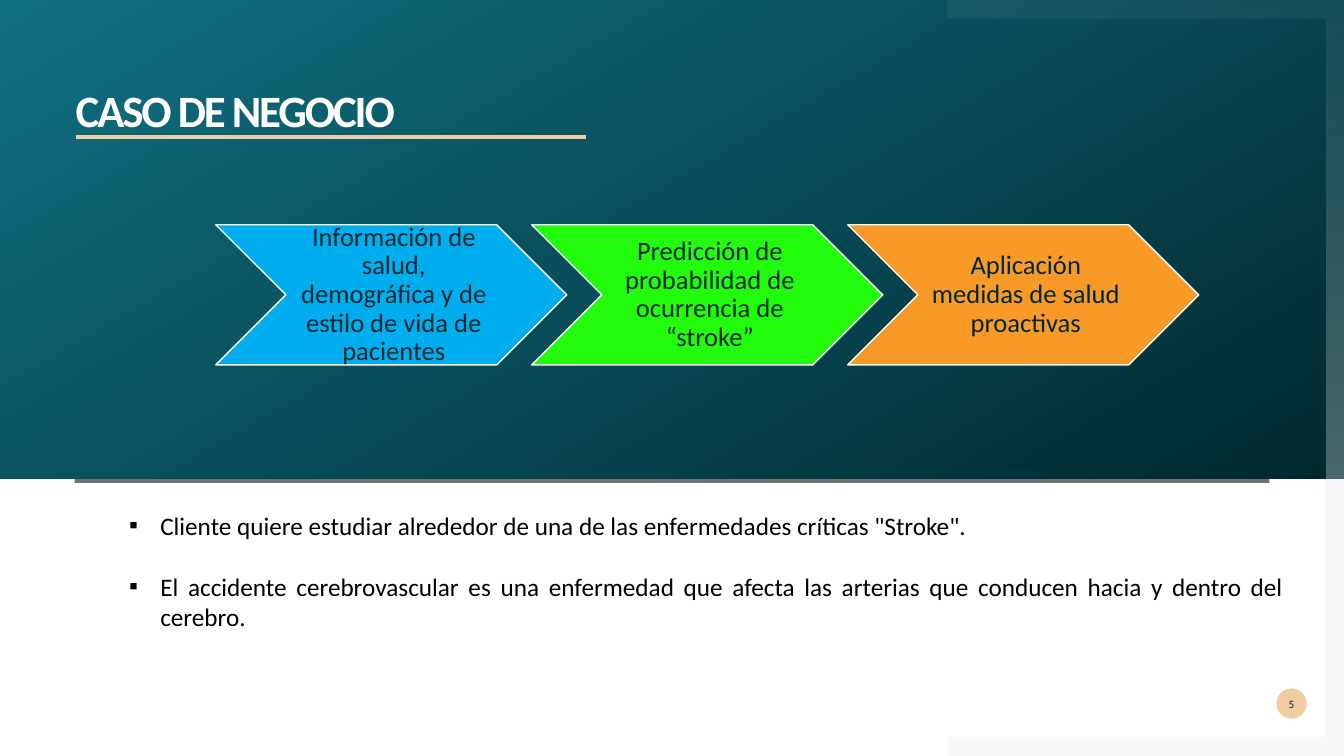
from lxml import etree
from pptx import Presentation
from pptx.dml.color import RGBColor
from pptx.enum.shapes import MSO_CONNECTOR, MSO_SHAPE
from pptx.enum.text import MSO_ANCHOR, MSO_AUTO_SIZE, PP_ALIGN
from pptx.oxml.ns import qn
from pptx.util import Inches, Pt

WHITE = RGBColor(0xFF, 0xFF, 0xFF)
BLACK = RGBColor(0x00, 0x00, 0x00)
GREY = RGBColor(0x80, 0x80, 0x80)
DARK = RGBColor(0x00, 0x29, 0x2E)
TEAL = RGBColor(0x10, 0x70, 0x82)
SAND = RGBColor(0xF0, 0xCD, 0xA1)
BLUE = RGBColor(0x00, 0xAE, 0xEF)
GREEN = RGBColor(0x22, 0xFC, 0x0C)
ORANGE = RGBColor(0xF9, 0x99, 0x27)
FONT = "Calibri"
WIDTH, HEIGHT, BAND_HEIGHT = 13.33, 7.5, 4.75

STEPS = [
    ("Información de salud, demográfica y de estilo de vida de pacientes", BLUE),
    ("Predicción de probabilidad de ocurrencia de “stroke”", GREEN),
    ("Aplicación medidas de salud proactivas", ORANGE),
]
POINTS = [
    'Cliente quiere estudiar alrededor de una de las enfermedades críticas "Stroke".',
    "El accidente cerebrovascular es una enfermedad que afecta las arterias que "
    "conducen hacia y dentro del cerebro.",
]


def set_alphas(sp, *percents):
    colors = sp._element.spPr.iter(qn("a:srgbClr"))
    for color, percent in zip(colors, percents):
        etree.SubElement(color, qn("a:alpha"), val=str(percent * 1000))


def set_gradient(sp, angle, *colors):
    sp.fill.gradient()
    sp.fill.gradient_angle = angle
    for stop, color in zip(sp.fill.gradient_stops, colors):
        stop.color.rgb = color


def set_box(sp, x, y, w, h):
    sp.left, sp.top, sp.width, sp.height = map(Inches, (x, y, w, h))


def add_plain(s, kind, x, y, w, h, color):
    sp = s.shapes.add_shape(kind, *map(Inches, (x, y, w, h)))
    sp.shadow.inherit = False
    sp.fill.solid()
    sp.fill.fore_color.rgb = color
    sp.line.fill.background()
    return sp


def add_outline(s, points):
    corners = [(Inches(x), Inches(y)) for x, y in points]
    builder = s.shapes.build_freeform(*corners[0], scale=1.0)
    builder.add_line_segments(corners[1:], close=True)
    sp = builder.convert_to_shape()
    sp.shadow.inherit = False
    sp.line.fill.background()
    return sp


def add_run(p, text, size, color):
    r = p.add_run()
    r.text = text
    r.font.name, r.font.size = FONT, Pt(size)
    r.font.color.rgb = color
    return r


def set_frame(tf, anchor, insets):
    tf.word_wrap = True
    tf.auto_size = MSO_AUTO_SIZE.NONE
    tf.vertical_anchor = anchor
    tf.margin_left, tf.margin_top, tf.margin_right, tf.margin_bottom = map(Inches, insets)


def add_background(s, left, thick):
    # Shade under the band, then the band itself
    shade = add_plain(s, MSO_SHAPE.RECTANGLE, 0.74, BAND_HEIGHT - 0.01, 11.85, 0.05, BLACK)
    set_alphas(shade, 56)
    band = add_plain(s, MSO_SHAPE.RECTANGLE, 0, 0, WIDTH, BAND_HEIGHT, DARK)
    set_gradient(band, 120, DARK, TEAL)

    # Translucent frame: upper and lower corner
    inner = WIDTH - thick
    upper = add_outline(s, [(left, 0), (WIDTH, 0), (WIDTH, BAND_HEIGHT),
                            (inner, BAND_HEIGHT), (inner, thick), (left, thick)])
    set_gradient(upper, 270, WHITE, WHITE)
    set_alphas(upper, 5, 30)
    base = HEIGHT - thick
    lower = add_outline(s, [(inner, BAND_HEIGHT), (WIDTH, BAND_HEIGHT), (WIDTH, HEIGHT),
                            (left, HEIGHT), (left, base), (inner, base)])
    lower.fill.solid()
    lower.fill.fore_color.rgb = GREY
    set_alphas(lower, 5)


def add_title(s, x, y, w, h):
    title = s.shapes.title
    set_box(title, x, y, w, h)
    title._element.getparent().append(title._element)  # above the band
    set_frame(title.text_frame, MSO_ANCHOR.TOP, (0, 0, 0, 0))
    p = title.text_frame.paragraphs[0]
    p.alignment, p.line_spacing = PP_ALIGN.LEFT, 0.9
    r = add_run(p, "CASO DE NEGOCIO", 32, WHITE)
    r.font.bold = True
    r._r.get_or_add_rPr().set("spc", "-150")

    # Underline
    rule_y = Inches(y + 0.48)
    rule = s.shapes.add_connector(MSO_CONNECTOR.STRAIGHT, Inches(x), rule_y,
                                  Inches(x + 5.06), rule_y)
    rule.line.color.rgb, rule.line.width = SAND, Pt(3)
    etree.SubElement(rule._element.spPr, qn("a:effectLst"))


def add_process(s, x, y, w, h):
    overlap = h / 4
    step_w = (w + overlap * (len(STEPS) - 1)) / len(STEPS)
    for i, (text, color) in enumerate(STEPS):
        sp = add_plain(s, MSO_SHAPE.CHEVRON, x + i * (step_w - overlap), y, step_w, h, color)
        sp.line.color.rgb, sp.line.width = WHITE, Pt(1)
        set_frame(sp.text_frame, MSO_ANCHOR.MIDDLE, (0.08, 0.03, 0.03, 0.03))
        p = sp.text_frame.paragraphs[0]
        p.alignment, p.line_spacing = PP_ALIGN.CENTER, 0.9
        add_run(p, text, 19, DARK)


def add_points(s, x, y, w, h):
    body = s.placeholders[1]
    set_box(body, x, y, w, h)
    tf = body.text_frame
    set_frame(tf, MSO_ANCHOR.TOP, (0.1, 0.05, 0.1, 0.05))
    indent = Inches(0.31)
    for i, text in enumerate(POINTS):
        p = tf.add_paragraph() if i else tf.paragraphs[0]
        p.alignment = PP_ALIGN.JUSTIFY
        p.space_before, p.space_after = Pt(0), Pt(22)
        pPr = p._p.get_or_add_pPr()
        pPr.set("marL", str(indent))
        pPr.set("indent", str(-indent))
        etree.SubElement(pPr, qn("a:buChar"), char="▪")
        add_run(p, text, 18, BLACK)


def add_page_number(s, x, y, size):
    sp = add_plain(s, MSO_SHAPE.OVAL, x, y, size, size, SAND)
    set_frame(sp.text_frame, MSO_ANCHOR.MIDDLE, (0, 0, 0, 0))
    p = sp.text_frame.paragraphs[0]
    p.alignment = PP_ALIGN.CENTER
    add_run(p, "5", 8, DARK)


def main():
    prs = Presentation()
    prs.slide_width, prs.slide_height = Inches(WIDTH), Inches(HEIGHT)
    s = prs.slides.add_slide(prs.slide_layouts[1])
    add_background(s, 9.4, 0.19)
    add_title(s, 0.75, 0.88, 8.27, 0.4)
    add_process(s, 2.14, 2.23, 9.75, 1.39)
    add_points(s, 1.18, 5.01, 11.65, 1.31)
    add_page_number(s, 12.66, 6.83, 0.3)
    prs.save("out.pptx")


if __name__ == "__main__":
    main()
